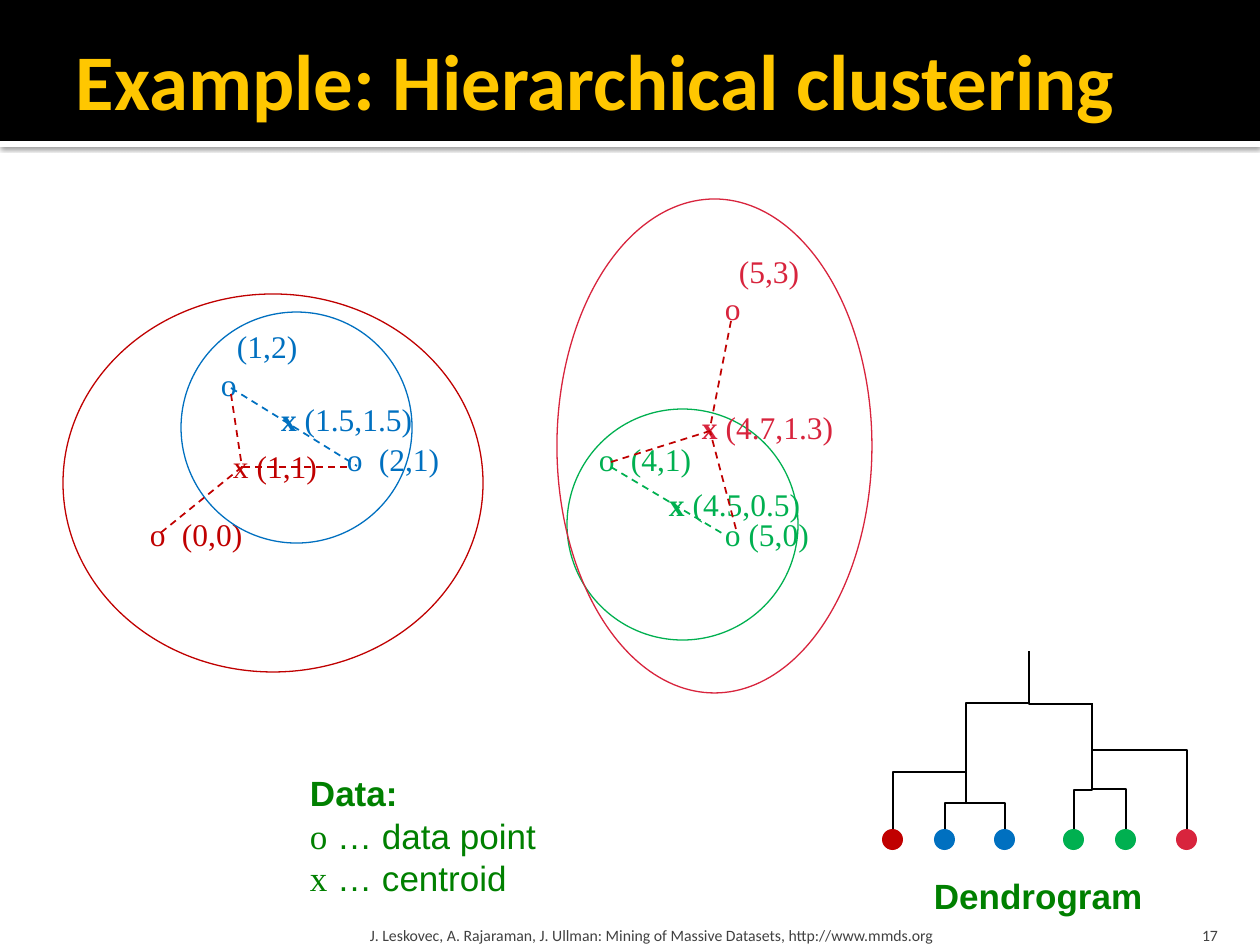
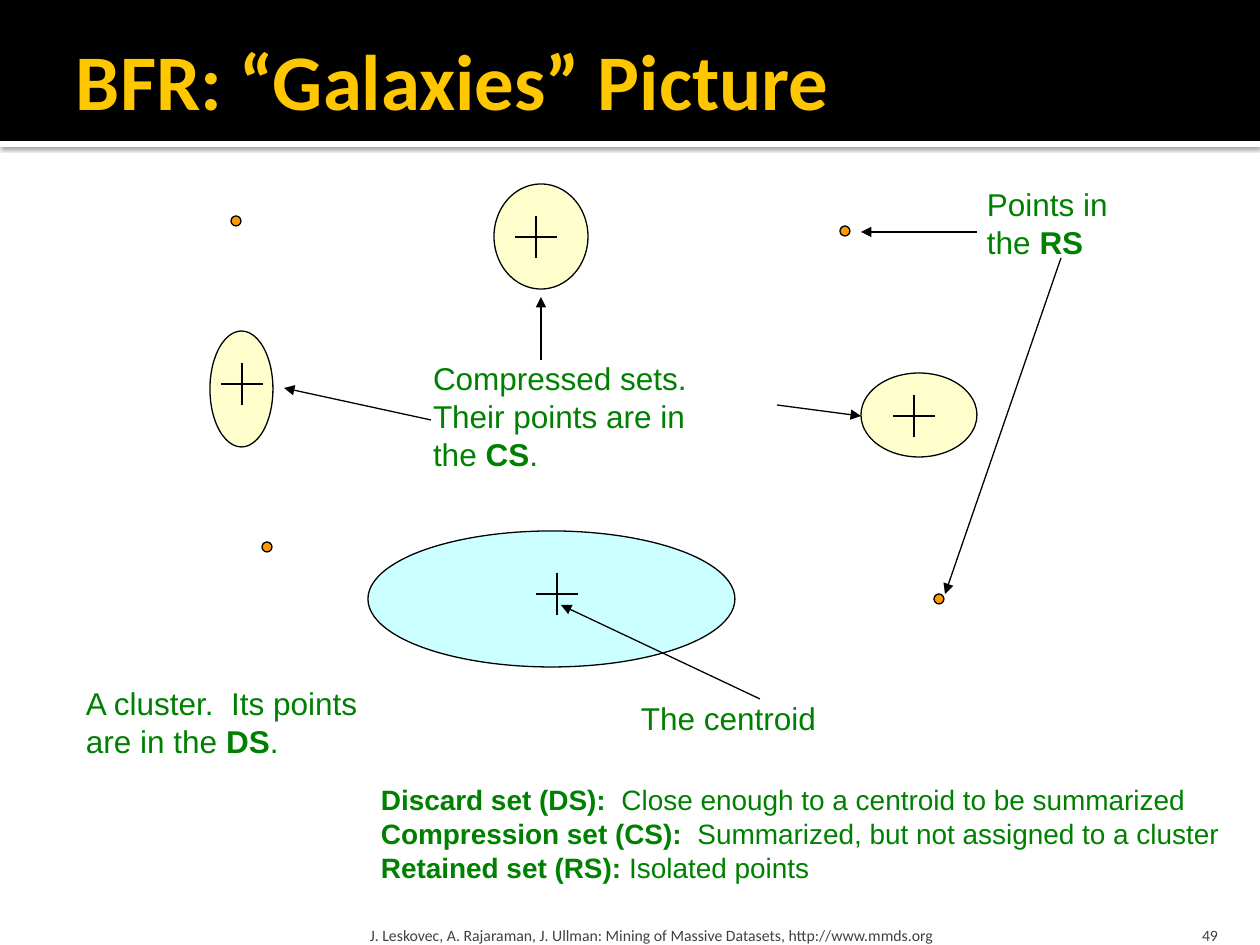
from lxml import etree
from pptx import Presentation, util as u
from pptx.dml.color import RGBColor
from pptx.enum import dml, shapes, text
from pptx.oxml.ns import qn

INK = {"black": "000000", "white": "FFFFFF", "gold": "FFC700", "gray": "414141",
       "green": "008000", "red": "C00000", "rose": "D8243D", "blue": "0070C0",
       "leaf": "00B050", "cyan": "CCFFFF", "cream": "FFFF99", "orange": "FF9900"}
SERIF, SANS, BODY = "Times New Roman", "Arial", "Calibri"
BOLD = {"bold": True}
CREDIT = ("J. Leskovec, A. Rajaraman, J. Ullman: Mining of Massive Datasets, "
          "http://www.mmds.org")


def px(n):
    return round(n * 914400 / 126)


def rgb(name):
    return RGBColor.from_string(INK[name])


def sub(node, tag, **attrs):
    return etree.SubElement(node, qn(tag), {k: str(v) for k, v in attrs.items()})


class Deck:
    """Holds the shared style and the slide being drawn; lengths are px."""

    def __init__(self):
        self.prs = Presentation()
        self.prs.slide_width, self.prs.slide_height = px(1260), px(945)

    def new(self, title, num):
        self.slide = self.prs.slides.add_slide(self.prs.slide_layouts[6])
        self.pen = self.slide.shapes
        strip = self.shape(0, 141, 1260, 6, fill="white", kind="RECTANGLE")
        self.shade(strip)
        self.shape(0, 0, 1260, 141, fill="black", kind="RECTANGLE")
        self.text(63, 21, 1134, 116, [[(title, BOLD)]], 45, "gold", BODY, anchor="MIDDLE")
        foot = dict(size=9, ink="gray", font=BODY, anchor="BOTTOM", low=0)
        self.text(364, 907, 758, 38, [[CREDIT]], side=6, **foot)
        self.text(1130, 907, 101, 38, [[num]], align="RIGHT", **foot)

    def shade(self, shape):
        """Give the shape a soft shadow straight below it."""
        fx = shape._element.spPr.find(qn("a:effectLst"))
        cast = sub(fx, "a:outerShdw", blurRad=u.Pt(2.5), dist=u.Pt(0.8),
                   dir=5400000, algn="ctr", rotWithShape=0)
        sub(sub(cast, "a:srgbClr", val=INK["black"]), "a:alpha", val=60000)

    def shape(self, x, y, w, h, fill=None, line=None, kind="OVAL", alpha=None):
        item = self.pen.add_shape(shapes.MSO_SHAPE[kind], px(x), px(y), px(w), px(h))
        item.shadow.inherit = False
        if fill:
            item.fill.solid()
            item.fill.fore_color.rgb = rgb(fill)
            if alpha:
                tone = item._element.spPr.find(".//" + qn("a:srgbClr"))
                sub(tone, "a:alpha", val=alpha * 1000)
        else:
            item.fill.background()
        if line:
            item.line.color.rgb = rgb(line)
            item.line.width = u.Pt(0.75)
        else:
            item.line.fill.background()
        return item

    def text(self, x, y, w, h, paras, size=18, ink="green", font=SANS,
             align="LEFT", anchor="TOP", side=13, low=6):
        """Each paragraph is a list of runs: a string, or a string and its style."""
        frame = self.pen.add_textbox(px(x), px(y), px(w), px(h)).text_frame
        frame.word_wrap = True
        frame.vertical_anchor = text.MSO_ANCHOR[anchor]
        frame.margin_left = frame.margin_right = px(side)
        frame.margin_top, frame.margin_bottom = px(6), px(low)
        for i, runs in enumerate(paras):
            para = frame.add_paragraph() if i else frame.paragraphs[0]
            para.alignment = text.PP_ALIGN[align]
            for part in runs:
                words, style = (part, {}) if isinstance(part, str) else part
                run = para.add_run()
                run.text = words
                run.font.size = u.Pt(size)
                run.font.name = style.get("font", font)
                run.font.bold = style.get("bold", False)
                run.font.color.rgb = rgb(style.get("ink", ink))
        return frame

    def link(self, x1, y1, x2, y2, ink="black", width=0.75, dash=False, arrow=False,
             kind="STRAIGHT"):
        line = self.pen.add_connector(shapes.MSO_CONNECTOR[kind],
                                      px(x1), px(y1), px(x2), px(y2))
        line.line.color.rgb = rgb(ink)
        line.line.width = u.Pt(width)
        if dash:
            line.line.dash_style = dml.MSO_LINE.DASH
        if arrow:
            sub(line.line._get_or_add_ln(), "a:tailEnd", type="triangle")
        sub(line._element.spPr, "a:effectLst")
        return line

    def climb(self, x1, y1, x2, y2, mid):
        """Elbow that rises from x1, y1, crosses at height mid and rises to x2, y2."""
        turn = 1 if x2 > x1 else -1
        cx, cy = (x1 + x2) / 2, (y1 + y2) / 2
        dx, dy = turn * (y1 - y2) / 2, abs(x2 - x1) / 2
        line = self.link(cx - dx, cy - dy, cx + dx, cy + dy, width=1, kind="ELBOW")
        props = line._element.spPr
        props.find(qn("a:xfrm")).set("rot", str((270 if turn > 0 else 90) * 60000))
        geom = props.find(qn("a:prstGeom"))
        guides = geom.find(qn("a:avLst"))
        if guides is None:
            guides = sub(geom, "a:avLst")
        share = round(100000 * (y1 - mid) / (y1 - y2))
        sub(guides, "a:gd", name="adj1", fmla=f"val {share}")

    def plus(self, x, y, arm=21):
        self.link(x, y - arm, x, y + arm)
        self.link(x - arm, y, x + arm, y)


def points(deck):
    """Data points in one box; each row has its tab stops and a gap above."""
    rows = [([644], 0, [("\t(5,3)", "rose")]),
            ([630], 0, [("\to", "rose")]),
            ([142], 0, [("\t(1,2)", "blue")]),
            ([126], 0, [("\to", "blue")]),
            ([252, 284, 504, 536], 1, [("\to\t(2,1)", "blue"), ("\to\t(4,1)", "leaf")]),
            ([55, 87, 630], 1, [("\to\t(0,0)", "red"), ("\to (5,0)", "leaf")])]
    paras = [[(words, {"ink": ink}) for words, ink in runs] for _, _, runs in rows]
    frame = deck.text(82, 246, 746, 357, paras, font=SERIF)
    for para, (stops, gap, _) in zip(frame.paragraphs, rows):
        para.line_spacing = u.Pt(21.5)
        para.space_before = u.Pt(21.5 * gap)
        tabs = sub(para._p.get_or_add_pPr(), "a:tabLst")
        for stop in stops:
            sub(tabs, "a:tab", pos=px(stop), algn="l")


def tree(deck):
    leaves = {893: "red", 945: "blue", 1005: "blue", 1074: "leaf", 1126: "leaf", 1187: "rose"}
    top = 829
    for x, ink in leaves.items():
        deck.shape(x - 11, top, 21, 21, fill=ink)
    for branch in [(893, top, 966, 714, 772), (945, top, 966, 766, 803),
                   (1005, top, 966, 777, 803), (1074, top, 1092, 777, 790),
                   (1126, top, 1092, 746, 789), (1187, top, 1092, 703, 750),
                   (966, 756, 1029, 651, 703), (1092, 735, 1029, 651, 704)]:
        deck.climb(*branch)
    deck.text(921, 868, 238, 55, [[("Dendrogram", BOLD)]], 20)


def example(deck):
    deck.new("Example: Hierarchical clustering", "17")
    points(deck)
    for x, y, w, h, ink in [(181, 312, 231, 231, "blue"), (567, 409, 231, 231, "leaf"),
                            (63, 294, 420, 378, "red"), (557, 199, 315, 494, "rose")]:
        deck.shape(x, y, w, h, line=ink)
    for x, y, w, spot, ink, bold in [(268, 394, 160, "(1.5,1.5)", "blue", True),
                                     (656, 479, 160, "(4.5,0.5)", "leaf", True),
                                     (220, 441, 113, "(1,1)", "red", False),
                                     (689, 402, 160, "(4.7,1.3)", "rose", True)]:
        deck.text(x, y, w, 50, [[("x", {"bold": bold}), " " + spot]], ink=ink, font=SERIF)
    tree(deck)
    mark = {"font": SERIF}
    deck.text(297, 766, 256, 140, [[("Data:", BOLD)], [("o", mark), " … data point"],
                                   [("x", mark), " … centroid"]], 20)
    for x1, y1, x2, y2, ink in [(231, 388, 357, 466, "blue"), (611, 467, 725, 535, "leaf"),
                                (231, 394, 242, 467, "red"), (347, 467, 242, 467, "red"),
                                (242, 467, 158, 535, "red"), (731, 321, 710, 428, "red"),
                                (611, 462, 710, 431, "red"), (736, 529, 710, 431, "red")]:
        deck.link(x1, y1, x2, y2, ink, 1, dash=True)


def galaxy(deck):
    deck.new("BFR: “Galaxies” Picture", "49")
    deck.shape(368, 531, 367, 136, "cyan", "black")
    for oval in [(210, 331, 63, 116), (861, 373, 116, 84), (494, 184, 94, 105)]:
        deck.shape(*oval, "cream", "black", alpha=49)
    for x, y in [(557, 594), (242, 384), (914, 416), (536, 237)]:
        deck.plus(x, y)
    for x, y in [(231, 216), (262, 542), (934, 594), (840, 226)]:
        deck.shape(x, y, 10, 10, "orange", "black")
    deck.text(73, 678, 302, 89, [["A cluster.  Its points"],
                                 ["are in the ", ("DS", BOLD), "."]])
    deck.text(628, 693, 204, 50, [["The centroid"]])
    deck.text(420, 353, 284, 127, [["Compressed sets."], ["Their points are in"],
                                   ["the ", ("CS", BOLD), "."]])
    deck.text(974, 179, 149, 89, [["Points in"], ["the ", ("RS", BOLD)]])
    deck.text(368, 777, 882, 115, [
        [("Discard set (DS):", BOLD), "  Close enough to a centroid to be summarized"],
        [("Compression set (CS):", BOLD), "  Summarized, but not assigned to a cluster"],
        [("Retained set (RS):", BOLD), " Isolated points"]], 16)
    for ends in [(760, 699, 561, 605), (431, 420, 284, 388), (541, 360, 541, 297),
                 (777, 405, 861, 416), (977, 232, 861, 232), (1061, 258, 945, 594)]:
        deck.link(*ends, arrow=True)


def main():
    deck = Deck()
    example(deck)
    galaxy(deck)
    deck.prs.save("out.pptx")


if __name__ == "__main__":
    main()
